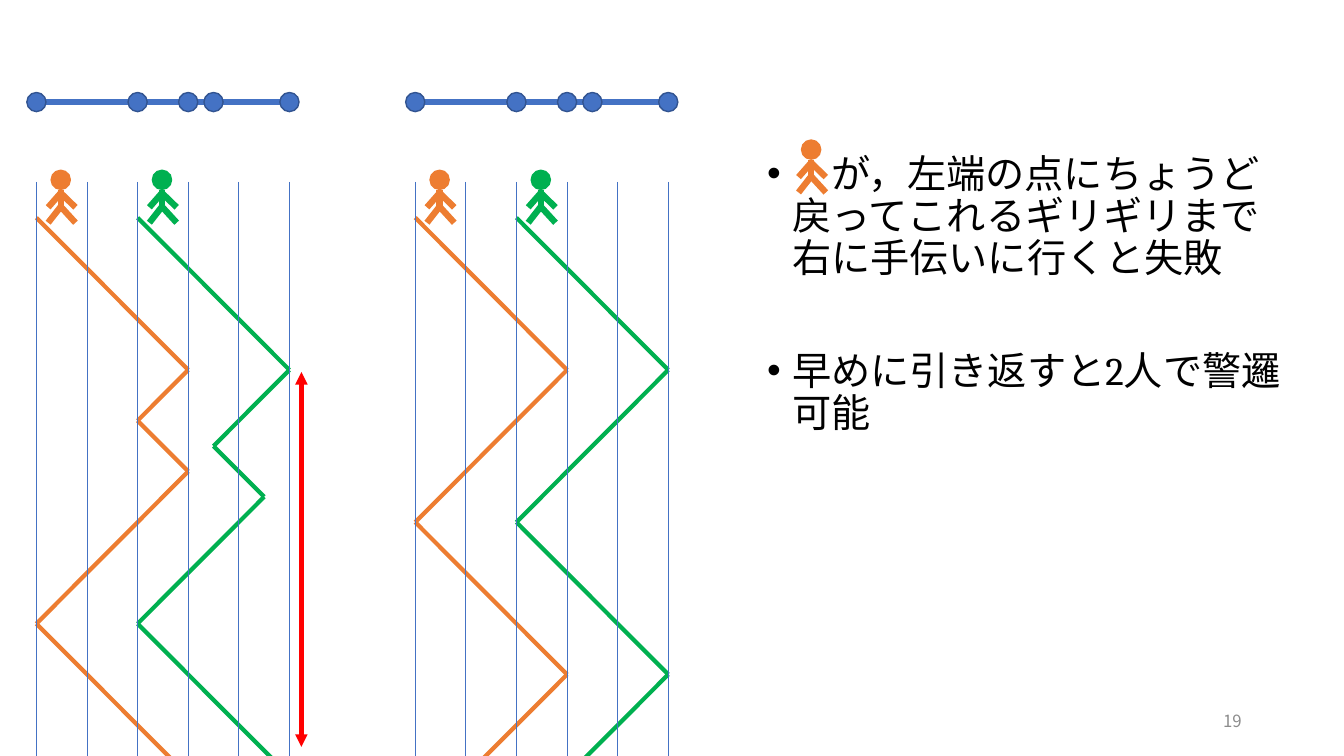
import pptx
import pptx.dml.color
import pptx.enum.shapes
import pptx.enum.text
import pptx.oxml
import pptx.oxml.ns
import pptx.util
from pptx.util import Pt

BLUE, OUTLINE, ORANGE, GREEN, RED = "4472C4", "325491", "ED7D31", "00B050", "FF0000"
GOTHIC = "Noto Sans CJK JP"
COLUMN = 36.15
STEP = 36.25
START_Y = 155.5
RADIUS = 6.85


def color(hex_string):
    return pptx.dml.color.RGBColor.from_string(hex_string)


def draw(kind, x1, y1, x2, y2, hex_string, width):
    """Draw a "line" between two points, or a "dot" in the box they span."""
    if kind == "line":
        shape = slide.shapes.add_connector(
            pptx.enum.shapes.MSO_CONNECTOR.STRAIGHT, Pt(x1), Pt(y1), Pt(x2), Pt(y2))
        pptx.oxml.ns.qn("a:effectLst")
        shape._element.spPr.get_or_add_ln()
        shape._element.spPr.append(pptx.oxml.parse_xml(
            f"<a:effectLst {pptx.oxml.ns.nsdecls('a')}/>"))
    else:
        shape = slide.shapes.add_shape(
            pptx.enum.shapes.MSO_SHAPE.OVAL, Pt(x1), Pt(y1), Pt(x2 - x1), Pt(y2 - y1))
        shape.shadow.inherit = False
        shape.fill.solid()
        shape.fill.fore_color.rgb = color(hex_string)
    shape.line.color.rgb = color(OUTLINE if kind == "dot" and hex_string == BLUE else hex_string)
    shape.line.width = Pt(width)
    return shape


presentation = pptx.Presentation()
presentation.slide_width, presentation.slide_height = Pt(960), Pt(540)
slide = presentation.slides.add_slide(presentation.slide_layouts[1])
title = slide.shapes.title
title._element.getparent().remove(title._element)

# Each route lists (column, elapsed steps) at its turning points
panels = [
    (26, [(ORANGE, [(0, 0), (3, 3), (2, 4), (3, 5), (0, 8), (3, 11)]),
          (GREEN, [(2, 0), (5, 3), (3.5, 4.5), (4.5, 5.5), (2, 8), (5, 11)])]),
    (296.6, [(ORANGE, [(0, 0), (3, 3), (0, 6), (3, 9), (0, 12)]),
             (GREEN, [(2, 0), (5, 3), (2, 6), (5, 9), (2, 12)])]),
]
walkers = [(579.4, 100, ORANGE)]
for left, routes in panels:
    for route_color, turns in routes:
        for (column1, step1), (column2, step2) in zip(turns, turns[1:]):
            draw("line", left + column1 * COLUMN, START_Y + step1 * STEP,
                 left + column2 * COLUMN, START_Y + step2 * STEP, route_color, 3)
        walkers.append((left + turns[0][0] * COLUMN + 17.4, 121.6, route_color))
    for column in range(6):
        x = left + column * COLUMN
        draw("line", x, 130, x, 569.5, BLUE, 0.5)
    draw("line", left + RADIUS, 72.9, left + 5 * COLUMN - RADIUS, 72.9, BLUE, 4.5)
    for column in (0, 2, 3, 3.5, 5):
        x = left + column * COLUMN
        draw("dot", x - RADIUS, 72.9 - RADIUS, x + RADIUS, 72.9 + RADIUS, BLUE, 1)

gap_arrow = draw("line", 215.3, 265.7, 215.3, 533.5, RED, 3)
for end in ("headEnd", "tailEnd"):
    gap_arrow.line._get_or_add_ln().append(pptx.oxml.parse_xml(
        f'<a:{end} {pptx.oxml.ns.nsdecls("a")} type="triangle"/>'))

body = slide.placeholders[1]
body.left, body.top, body.width, body.height = Pt(540.7), Pt(106.6), Pt(386.6), Pt(393.8)
body.text_frame.auto_size = pptx.enum.text.MSO_AUTO_SIZE.NONE
body.text_frame.vertical_anchor = pptx.enum.text.MSO_ANCHOR.TOP
bullets = [
    (0, [("\u3000が，左端の点にちょうど戻ってこれるギリギリまで右に手伝いに行くと失敗".replace("\u3000", "　"), GOTHIC)]),
    (50.7, [("早めに引き返すと", GOTHIC), ("2", "Cambria"), ("人で警邏可能", GOTHIC)]),
]
for index, (space_before, runs) in enumerate(bullets):
    frame = body.text_frame
    paragraph = frame.paragraphs[0] if index == 0 else frame.add_paragraph()
    properties = paragraph._p.get_or_add_pPr()
    properties.set("marL", str(Pt(18)))
    properties.set("indent", str(Pt(-18)))
    for tag in ('buFont typeface="Arial"', 'buChar char="•"'):
        name, attribute = tag.split(" ", 1)
        properties.append(pptx.oxml.parse_xml(
            f"<a:{name} {pptx.oxml.ns.nsdecls('a')} {attribute}/>"))
    paragraph.line_spacing = Pt(30)
    paragraph.space_before = Pt(space_before)
    for text, font_name in runs:
        run = paragraph.add_run()
        run.text = text
        run.font.size = Pt(28)
        run.font.name = font_name
        run.font.color.rgb = color("000000")
        run.font._element.append(pptx.oxml.parse_xml(
            f'<a:ea {pptx.oxml.ns.nsdecls("a")} typeface="{GOTHIC}"/>'))

limbs = [(14, 0, 26.5), (16.3, 10.5, 26.5), (16.3, -9, 26.5), (26, 10.5, 37.5), (26, -9, 37.5)]
for x, top, walker_color in walkers:
    draw("dot", x - RADIUS, top, x + RADIUS, top + 2 * RADIUS, walker_color, 1)
    for joint, reach, tip in limbs:
        draw("line", x, top + joint, x + reach, top + tip, walker_color, 4.5)

number_box = slide.shapes.add_textbox(Pt(678), Pt(500.5), Pt(216), Pt(28.8))
number_box.text_frame.word_wrap = True
number_box.text_frame.vertical_anchor = pptx.enum.text.MSO_ANCHOR.MIDDLE
paragraph = number_box.text_frame.paragraphs[0]
paragraph.alignment = pptx.enum.text.PP_ALIGN.RIGHT
run = paragraph.add_run()
run.text = "19"
run.font.size = Pt(12)
run.font.name = GOTHIC
run.font.color.rgb = color("8C8C8C")

presentation.save("out.pptx")
